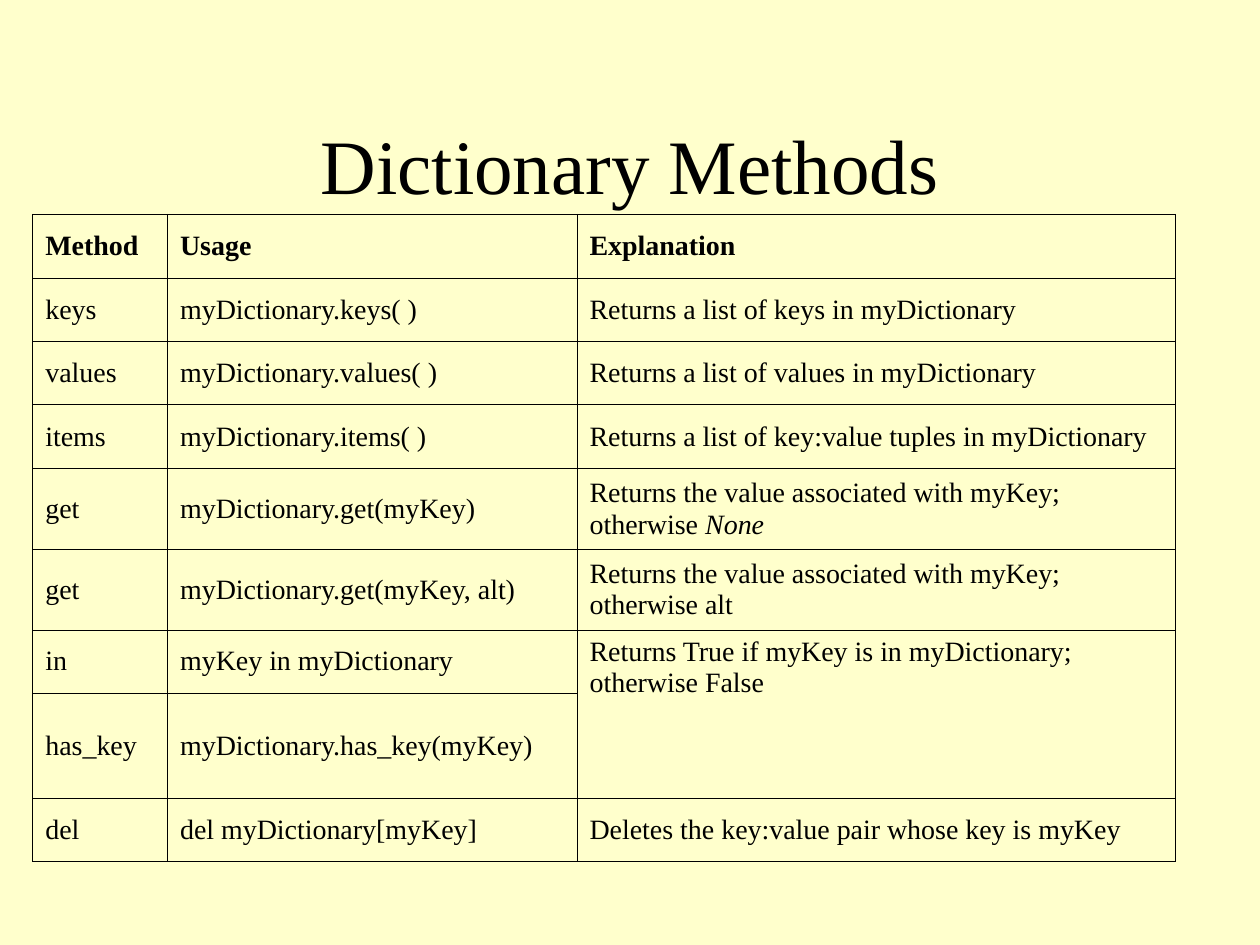
from dataclasses import dataclass

from lxml import etree
from pptx import Presentation
from pptx import util as u
from pptx.dml.color import RGBColor
from pptx.enum import text
from pptx.oxml.ns import qn


@dataclass(frozen=True)
class Theme:
    paper: str = "FFFFCC"
    ink: str = "000000"
    font: str = "Times New Roman"
    title: float = 44
    body: float = 16
    rule: float = 0.45


theme = Theme()


def add_run(para, words, size, bold=False, slant=False):
    run = para.add_run()
    run.text = words
    font = run.font
    font.name, font.size = theme.font, u.Pt(size)
    font.bold, font.italic = bold, slant
    font.color.rgb = RGBColor.from_string(theme.ink)


def add_rules(cell):
    """Draw a thin line on all four sides of a cell."""
    props = cell._tc.get_or_add_tcPr()
    for side in ("lnL", "lnR", "lnT", "lnB"):
        line = etree.SubElement(props, qn(f"a:{side}"), w=str(u.Pt(theme.rule)))
        fill = etree.SubElement(line, qn("a:solidFill"))
        etree.SubElement(fill, qn("a:srgbClr"), val=theme.ink)


deck = Presentation()
deck.slide_width, deck.slide_height = u.Inches(10), u.Inches(7.5)
slide = deck.slides.add_slide(deck.slide_layouts[6])
back = slide.background.fill
back.solid()
back.fore_color.rgb = RGBColor.from_string(theme.paper)

# Title
title = slide.shapes.add_textbox(
    u.Inches(0.75), u.Inches(0.67), u.Inches(8.5), u.Inches(1.25))
frame = title.text_frame
frame.word_wrap = True
frame.vertical_anchor = text.MSO_ANCHOR.MIDDLE
para = frame.paragraphs[0]
para.alignment = text.PP_ALIGN.CENTER
add_run(para, "Dictionary Methods", theme.title)

# Methods table: a cell is a list of runs, and None continues the cell above
rows = [
    (["Method"], ["Usage"], ["Explanation"]),
    (["keys"], ["myDictionary.keys( )"],
     ["Returns a list of keys in myDictionary"]),
    (["values"], ["myDictionary.values( )"],
     ["Returns a list of values in myDictionary"]),
    (["items"], ["myDictionary.items( )"],
     ["Returns a list of key:value tuples in myDictionary"]),
    (["get"], ["myDictionary.get(myKey)"],
     ["Returns the value associated with myKey; otherwise ", "None"]),
    (["get"], ["myDictionary.get(myKey, alt)"],
     ["Returns the value associated with myKey; otherwise alt"]),
    (["in"], ["myKey in myDictionary"],
     ["Returns True if myKey is in myDictionary; otherwise False"]),
    (["has_key"], ["myDictionary.has_key(myKey)"], None),
    (["del"], ["del myDictionary[myKey]"],
     ["Deletes the key:value pair whose key is myKey"]),
]
widths = [1.07, 3.25, 4.75]
heights = [0.51, 0.5, 0.5, 0.51, 0.64, 0.64, 0.5, 0.84, 0.5]

grid = slide.shapes.add_table(
    len(rows), len(widths), u.Inches(0.26), u.Inches(1.7),
    u.Inches(sum(widths)), u.Inches(sum(heights))).table
grid.horz_banding = False
for col, width in zip(grid.columns, widths):
    col.width = u.Inches(width)
for row, height in zip(grid.rows, heights):
    row.height = u.Inches(height)

for r, row in enumerate(rows):
    for c, runs in enumerate(row):
        cell = grid.cell(r, c)
        add_rules(cell)
        cell.fill.background()
        cell.vertical_anchor = text.MSO_ANCHOR.MIDDLE
        if runs is None:
            top = grid.cell(r - 1, c)
            top.merge(cell)
            top.vertical_anchor = text.MSO_ANCHOR.TOP
            continue
        for n, words in enumerate(runs):
            add_run(cell.text_frame.paragraphs[0], words, theme.body,
                    bold=r == 0, slant=n == 1)

deck.save("out.pptx")
